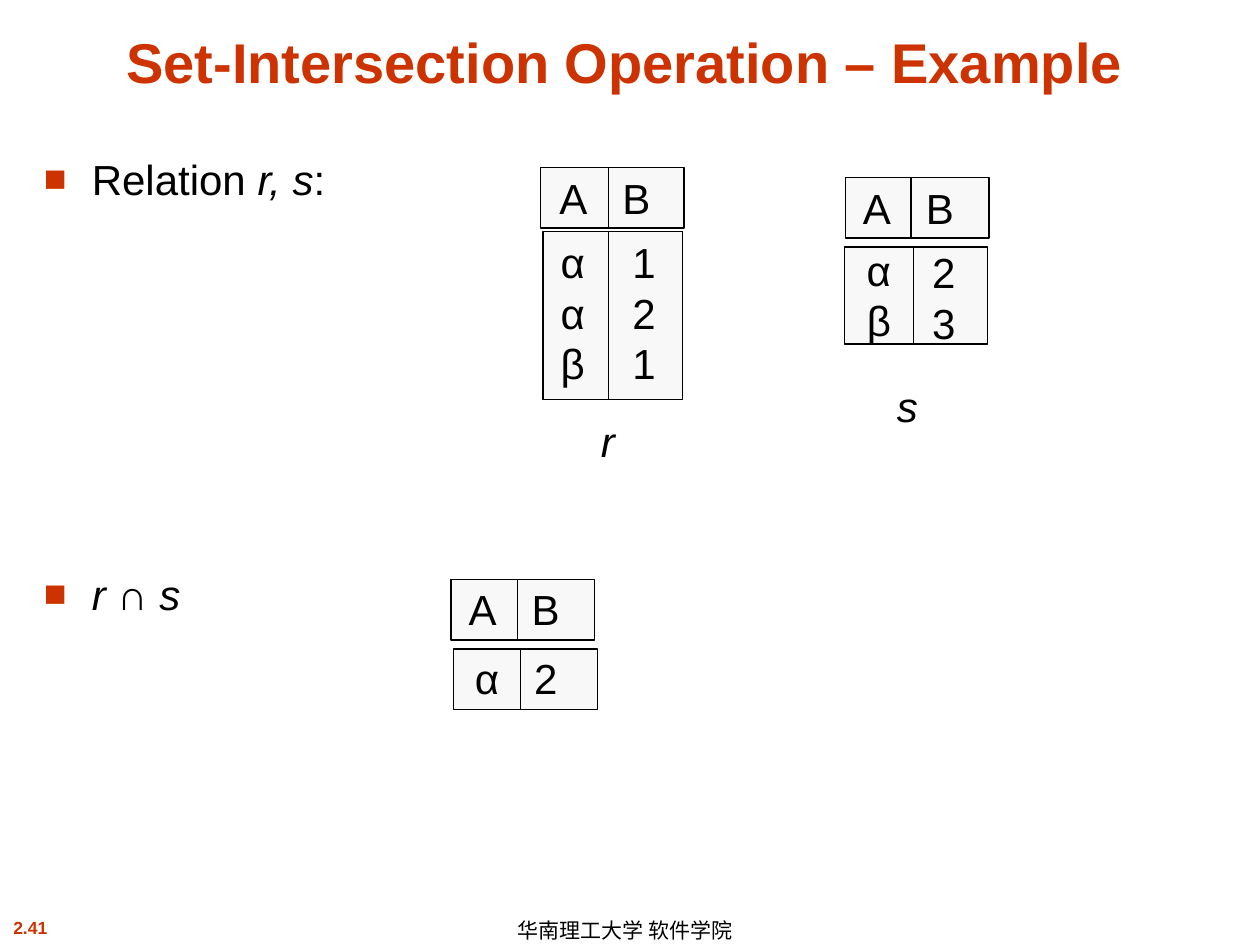
from lxml import etree
from pptx import Presentation
from pptx.dml.color import RGBColor
from pptx.enum.shapes import MSO_CONNECTOR, MSO_SHAPE
from pptx.enum.text import MSO_ANCHOR, PP_ALIGN
from pptx.oxml.ns import qn
from pptx.util import Inches, Pt

LEFT, CENTER = PP_ALIGN.LEFT, PP_ALIGN.CENTER
TOP, MIDDLE, BOTTOM = MSO_ANCHOR.TOP, MSO_ANCHOR.MIDDLE, MSO_ANCHOR.BOTTOM
RECT, STRAIGHT = MSO_SHAPE.RECTANGLE, MSO_CONNECTOR.STRAIGHT
COLORS = {"accent": "CC3300", "text": "000000", "cell": "F8F8F8"}


def color(name):
    return RGBColor.from_string(COLORS[name])


def add_text(s, box, paragraphs, size=24, name="text", bold=False, align=CENTER, **frame):
    tf = s.shapes.add_textbox(*map(Inches, box)).text_frame
    for key, value in {"word_wrap": False, "vertical_anchor": TOP, **frame}.items():
        setattr(tf, key, value)
    for i, runs in enumerate(paragraphs):
        p = tf.paragraphs[0] if i == 0 else tf.add_paragraph()
        p.alignment = align
        for text, italic in runs:
            r = p.add_run()
            r.text = text
            font = {"name": "Arial", "size": Pt(size), "bold": bold, "italic": italic}
            for key, value in font.items():
                setattr(r.font, key, value)
            r.font.color.rgb = color(name)
    return tf


prs = Presentation()
prs.slide_width, prs.slide_height = Inches(10), Inches(7.5)
s = prs.slides.add_slide(prs.slide_layouts[6])

add_text(s, (-0.25, 7.23, 0.98, 0.27), [[("2.41", False)]], 10, "accent", True)
tf = add_text(s, (4.01, 7.25, 2.24, 0.25), [[("华南理工大学 软件学院", False)]], 12,
              align=LEFT, vertical_anchor=MIDDLE)
tf.paragraphs[0].line_spacing = 1.1
add_text(s, (0.25, 0.13, 9.42, 0.67), [[("Set-Intersection Operation – Example", False)]],
         32, "accent", True, word_wrap=True, vertical_anchor=BOTTOM)

bullets = [[("Relation ", False), ("r, s", True), (":", False)],
           [("r ", True), ("∩ ", False), ("s", True)]]
tf = add_text(s, (0.25, 1.17, 9.42, 5.75), bullets, align=LEFT, word_wrap=True)
tf.paragraphs[1].space_before = Pt(208)
for p in tf.paragraphs:
    pPr = p._p.get_or_add_pPr()
    pPr.set("marL", str(Inches(0.38)))
    pPr.set("indent", str(Inches(-0.38)))
    buClr = etree.SubElement(pPr, qn("a:buClr"))
    etree.SubElement(buClr, qn("a:srgbClr"), val=COLORS["accent"])
    etree.SubElement(pPr, qn("a:buSzPct"), val="90000")
    etree.SubElement(pPr, qn("a:buFont"), typeface="Arial")
    etree.SubElement(pPr, qn("a:buChar"), char="■")

cells = [
    ((4.29, 1.33, 1.14, 0.48), 4.83),
    ((4.31, 1.84, 1.11, 1.33), 4.83),
    ((6.71, 1.41, 1.14, 0.48), 7.23),
    ((6.70, 1.96, 1.14, 0.77), 7.25),
    ((3.58, 4.60, 1.14, 0.48), 4.11),
    ((3.60, 5.15, 1.14, 0.48), 4.13),
]
for (x, y, w, h), divider in cells:
    sp = s.shapes.add_shape(RECT, *map(Inches, (x, y, w, h)))
    sp.shadow.inherit = False
    sp.fill.solid()
    sp.fill.fore_color.rgb = color("cell")
    line = s.shapes.add_connector(STRAIGHT, *map(Inches, (divider, y, divider, y + h)))
    etree.SubElement(line._element.spPr, qn("a:effectLst"))
    for outlined in (sp, line):
        outlined.line.color.rgb = color("text")
        outlined.line.width = Pt(0.75)

rows = [
    (4.34, 1.32, "A\tB", 0.5),
    (6.75, 1.40, "A\tB", 0.5),
    (3.62, 4.58, "A\tB", 0.5),
    (3.67, 5.13, "α\t2", 0.47),
]
for x, y, text, tab in rows:
    tf = add_text(s, (x, y, 0.92, 0.5), [[(text, False)]], align=LEFT,
                  word_wrap=True, margin_right=0)
    pPr = tf.paragraphs[0]._p.get_or_add_pPr()
    tabs = etree.SubElement(pPr, qn("a:tabLst"))
    etree.SubElement(tabs, qn("a:tab"), pos=str(Inches(tab)), algn="l")

columns = [
    ((4.34, 1.83, 0.41, 1.3), "ααβ", False),
    ((4.92, 1.83, 0.38, 1.3), "121", False),
    ((6.77, 1.89, 0.41, 0.9), "αβ", False),
    ((7.30, 1.91, 0.38, 0.9), "23", False),
    ((4.67, 3.25, 0.31, 0.5), "r", True),
    ((7.02, 2.97, 0.36, 0.5), "s", True),
]
for box, values, italic in columns:
    add_text(s, box, [[(value, italic)] for value in values])

prs.save("out.pptx")
